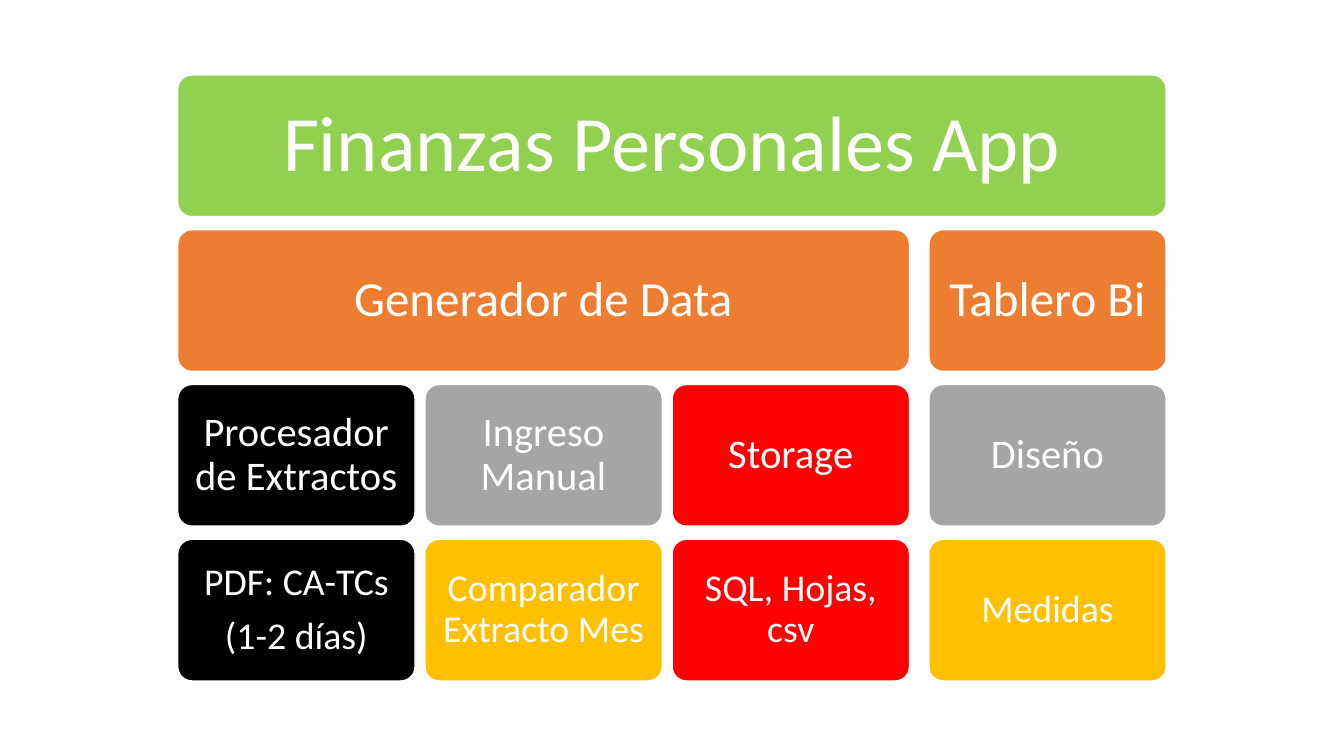
from pptx import Presentation
from pptx.dml.color import RGBColor
from pptx.enum.shapes import MSO_SHAPE
from pptx.enum.text import MSO_ANCHOR, PP_ALIGN
from pptx.util import Cm, Pt

WHITE = RGBColor(0xFF, 0xFF, 0xFF)
BLACK = RGBColor(0x00, 0x00, 0x00)
GREEN = RGBColor(0x92, 0xD0, 0x50)
ORANGE = RGBColor(0xED, 0x7D, 0x31)
GRAY = RGBColor(0xA5, 0xA5, 0xA5)
GOLD = RGBColor(0xFF, 0xC0, 0x00)
RED = RGBColor(0xFF, 0x00, 0x00)

# Each level: text size, then boxes as (paragraphs, fill, first column, last column)
LEVELS = [
    (56, [(["Finanzas Personales App"], GREEN, 0, 3)]),
    (35, [(["Generador de Data"], ORANGE, 0, 2),
          (["Tablero Bi"], ORANGE, 3, 3)]),
    (29, [(["Procesador de Extractos"], BLACK, 0, 0),
          (["Ingreso Manual"], GRAY, 1, 1),
          (["Storage"], RED, 2, 2),
          (["Diseño"], GRAY, 3, 3)]),
    (27, [(["PDF: CA-TCs", "(1-2 días)"], BLACK, 0, 0),
          (["Comparador Extracto Mes"], GOLD, 1, 1),
          (["SQL, Hojas, csv"], RED, 2, 2),
          (["Medidas"], GOLD, 3, 3)]),
]

LEFT, TOP = 4.48, 1.89
BOX_WIDTH, BOX_HEIGHT = 5.98, 3.57
COLUMN_STEP, ROW_STEP = 6.23, 3.9
BRANCH_GAP = 0.24  # extra space before the last column
POINTS_PER_INSET_CM = 95  # the inset grows with the text size


def column_left(column):
    return LEFT + column * COLUMN_STEP + (BRANCH_GAP if column == 3 else 0)


def add_box(slide, row, size, paragraphs, fill, first, last):
    left = column_left(first)
    width = column_left(last) + BOX_WIDTH - left
    shape = slide.shapes.add_shape(
        MSO_SHAPE.ROUNDED_RECTANGLE, Cm(left), Cm(TOP + row * ROW_STEP),
        Cm(width), Cm(BOX_HEIGHT))
    shape.adjustments[0] = 0.1
    shape.shadow.inherit = False
    shape.fill.solid()
    shape.fill.fore_color.rgb = fill
    shape.line.color.rgb = WHITE
    shape.line.width = Pt(1)

    frame = shape.text_frame
    frame.word_wrap = True
    frame.vertical_anchor = MSO_ANCHOR.MIDDLE
    inset = Cm(size / POINTS_PER_INSET_CM)
    frame.margin_left = frame.margin_right = inset
    frame.margin_top = frame.margin_bottom = inset
    for index, text in enumerate(paragraphs):
        paragraph = frame.add_paragraph() if index else frame.paragraphs[0]
        paragraph.alignment = PP_ALIGN.CENTER
        paragraph.line_spacing = 0.9
        paragraph.space_after = Pt(round(size * 0.35))
        run = paragraph.add_run()
        run.text = text
        run.font.name = "Calibri"
        run.font.size = Pt(size)
        run.font.color.rgb = WHITE


def main():
    presentation = Presentation()
    presentation.slide_width = Cm(33.87)
    presentation.slide_height = Cm(19.05)
    slide = presentation.slides.add_slide(presentation.slide_layouts[6])
    for row, (size, boxes) in enumerate(LEVELS):
        for box in boxes:
            add_box(slide, row, size, *box)
    presentation.save("out.pptx")


if __name__ == "__main__":
    main()
